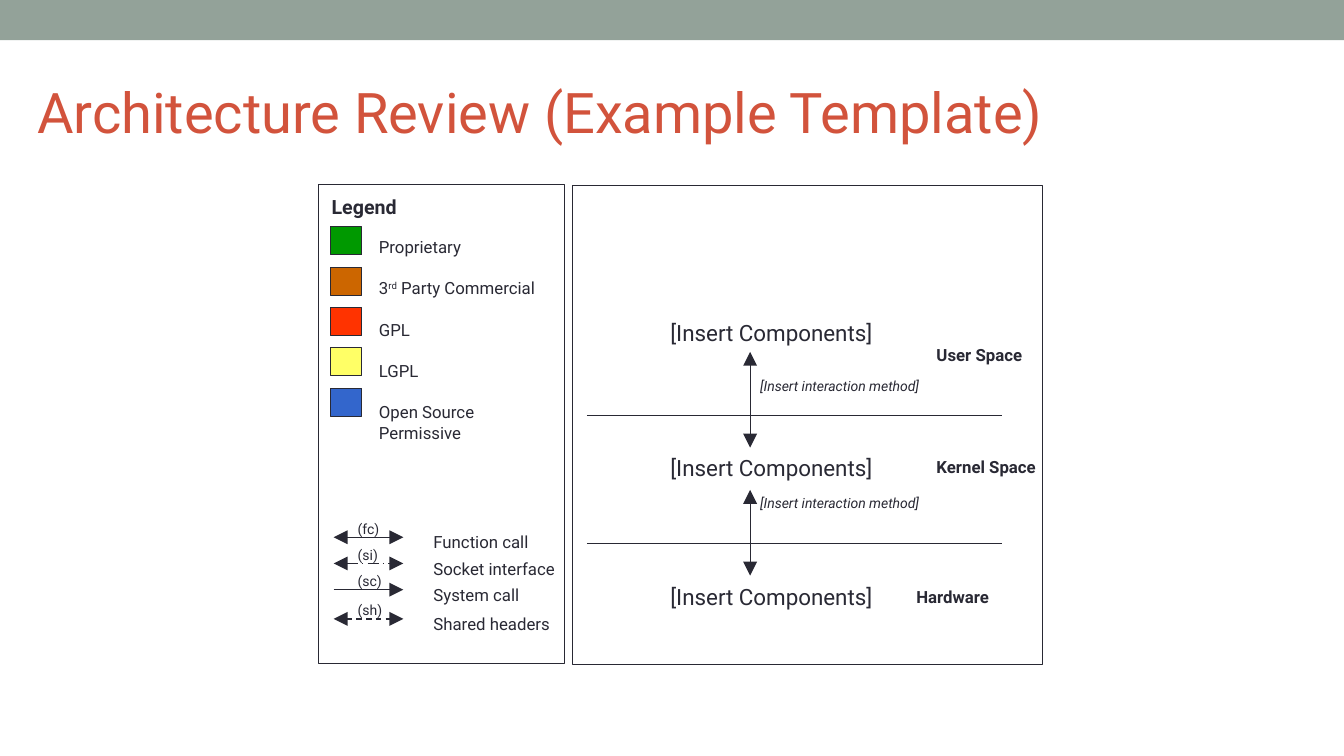
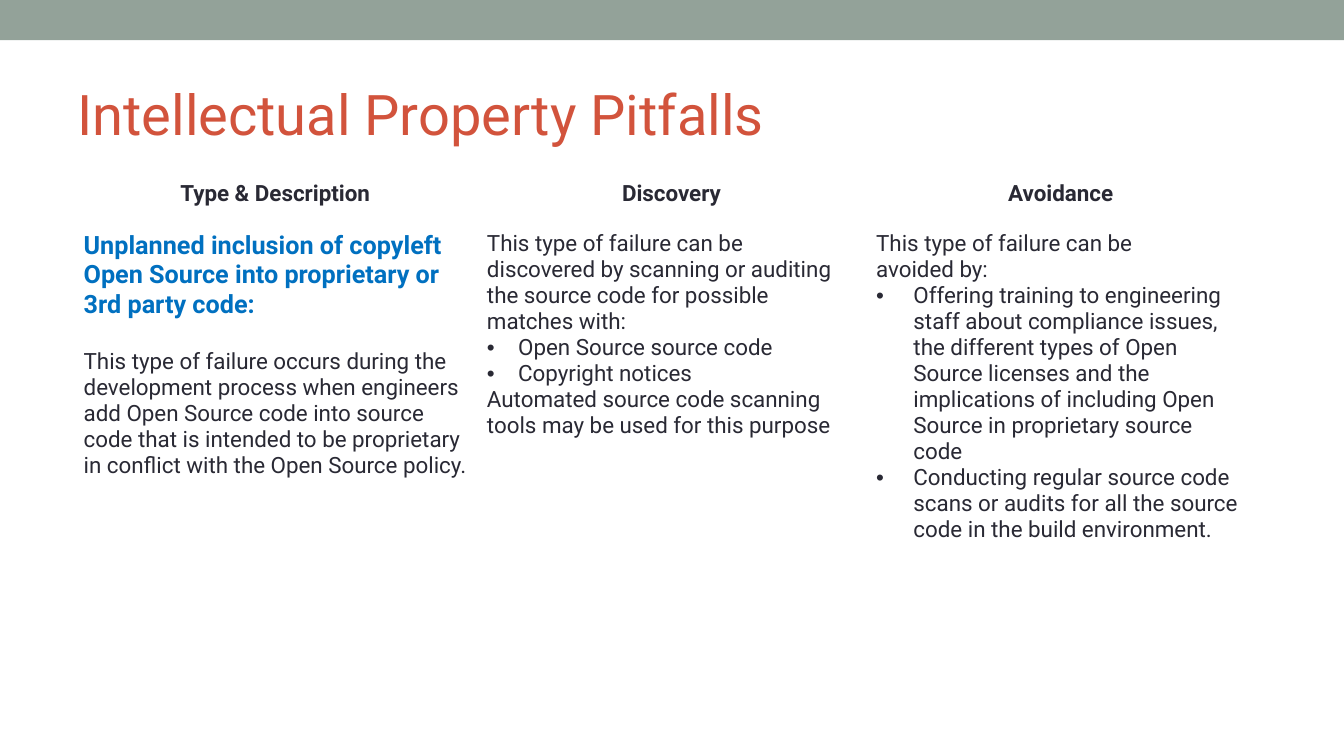
from lxml import etree
from pptx import Presentation
from pptx.dml.color import RGBColor
from pptx.enum.dml import MSO_LINE
from pptx.enum.shapes import MSO_CONNECTOR, MSO_SHAPE
from pptx.enum.text import MSO_ANCHOR, PP_ALIGN
from pptx.oxml.ns import qn
from pptx.util import Inches, Pt

FONT = "Roboto"
INK = RGBColor(0x29, 0x29, 0x34)
RED = RGBColor(0xD2, 0x53, 0x3C)
SAGE = RGBColor(0x93, 0xA2, 0x99)
BLUE = RGBColor(0x00, 0x70, 0xC0)
WHITE = RGBColor(0xFF, 0xFF, 0xFF)

RECT = MSO_SHAPE.RECTANGLE
STRAIGHT = MSO_CONNECTOR.STRAIGHT
MIDDLE = MSO_ANCHOR.MIDDLE
CENTER = PP_ALIGN.CENTER
DASH = MSO_LINE.DASH
LONG_DOT = MSO_LINE.LONG_DASH_DOT

BOTH = ("headEnd", "tailEnd")
END = ("tailEnd",)

LEGEND = [
    (RGBColor(0x00, 0x99, 0x00), ["Proprietary"]),
    (RGBColor(0xCC, 0x66, 0x00), ["3", "rd", " Party Commercial"]),
    (RGBColor(0xFF, 0x33, 0x00), ["GPL"]),
    (RGBColor(0xFF, 0xFF, 0x66), ["LGPL"]),
    (RGBColor(0x33, 0x66, 0xCC), ["Open Source Permissive"]),
]
CALLS = [
    (5.33, "(fc)", "Function call", BOTH, None),
    (5.59, "(si)", "Socket interface", BOTH, LONG_DOT),
    (5.85, "(sc)", "System call", END, None),
    (6.14, "(sh)", "Shared headers", BOTH, DASH),
]
SPACES = [
    (9.19, 3.37, "User Space"),
    (9.19, 4.48, "Kernel Space"),
    (8.99, 5.77, "Hardware"),
]

HEADS = ["Type & Description", "Discovery", "Avoidance"]
WIDTHS = [4, 3.86, 3.86]
CAUSE = ("Unplanned inclusion of copyleft Open Source into proprietary "
         "or 3rd party code:")
DETAIL = ("This type of failure occurs during the development process when "
          "engineers add Open Source code into source code that is intended "
          "to be proprietary in conflict with the Open Source policy.")
# Each entry is (text, bullet indent); an indent of 0 means no bullet.
FIND = [
    ("This type of failure can be", 0),
    ("discovered by scanning or auditing the source code for possible", 0),
    ("matches with:", 0),
    ("Open Source source code", 0.31),
    ("Copyright notices", 0.31),
    ("Automated source code scanning tools may be used for this purpose", 0),
]
AVOID = [
    ("This type of failure can be", 0),
    ("avoided by:", 0),
    ("Offering training to engineering staff about compliance issues, the "
     "different types of Open Source licenses and the implications of "
     "including Open Source in proprietary source code", 0.37),
    ("Conducting regular source code scans or audits for all the source "
     "code in the build environment.", 0.37),
]


def add_run(para, text, size, color=INK, bold=False, italic=False):
    """Append one styled run and return it."""
    run = para.add_run()
    run.text = text
    font = run.font
    font.name, font.size = FONT, Pt(size)
    font.bold, font.italic = bold, italic
    font.color.rgb = color
    return run


def add_box(slide, left, top, width, height):
    """Add an empty wrapping text box and return its frame."""
    box = slide.shapes.add_textbox(
        Inches(left), Inches(top), Inches(width), Inches(height))
    box.text_frame.word_wrap = True
    return box.text_frame


def add_label(slide, left, top, width, text, size=12, **style):
    """Add a label of one run."""
    frame = add_box(slide, left, top, width, 0.3)
    add_run(frame.paragraphs[0], text, size, **style)


def add_rect(slide, left, top, width, height, fill=None, line=None):
    """Add a rectangle; fill is a colour, line a width in points."""
    rect = slide.shapes.add_shape(
        RECT, Inches(left), Inches(top), Inches(width), Inches(height))
    rect.shadow.inherit = False
    if fill is None:
        rect.fill.background()
    else:
        rect.fill.solid()
        rect.fill.fore_color.rgb = fill
    if line is None:
        rect.line.fill.background()
    else:
        rect.line.color.rgb = INK
        rect.line.width = Pt(line)


def add_line(slide, start, end, width=1, heads=(), dash=None):
    """Add a straight line with arrowheads at the named ends."""
    link = slide.shapes.add_connector(
        STRAIGHT, *(Inches(value) for value in (*start, *end)))
    link.line.color.rgb = INK
    link.line.width = Pt(width)
    if dash is not None:
        link.line.dash_style = dash
    stroke = link.line._get_or_add_ln()
    for head in heads:
        etree.SubElement(stroke, qn("a:" + head),
                         type="triangle", w="lg", len="lg")
    etree.SubElement(link._element.spPr, qn("a:effectLst"))


def add_slide(deck, title, left, top):
    """Add a blank slide with the shared band and title."""
    slide = deck.slides.add_slide(deck.slide_layouts[6])
    add_rect(slide, 0, 0, 13.33, 0.4, fill=SAGE)
    frame = add_box(slide, left, top, 12, 1.08)
    frame.vertical_anchor = MIDDLE
    add_run(frame.paragraphs[0], title, 40, RED)
    return slide


def add_legend(slide):
    """Draw the legend of licences and call types."""
    add_rect(slide, 3.16, 1.83, 2.44, 4.75, line=1)
    add_label(slide, 3.19, 1.88, 1.05, "Legend", 14, bold=True)
    for row, (color, parts) in enumerate(LEGEND):
        add_rect(slide, 3.28, 2.25 + 0.4 * row, 0.31, 0.28, color, 0.75)
        width = 1.48 if row == len(LEGEND) - 1 else 1.8
        frame = add_box(slide, 3.66, 2.3 + 0.41 * row, width, 0.3)
        for part in parts:
            run = add_run(frame.paragraphs[0], part, 12)
            if part == "rd":
                run.font._element.set("baseline", "30000")
    for top, code, name, heads, dash in CALLS:
        add_line(slide, (3.31, top), (4, top), heads=heads, dash=dash)
        add_label(slide, 3.45, top - 0.22, 0.47, code, 10)
        add_label(slide, 4.2, top - 0.1, 1.45, name)


def add_stack(slide):
    """Draw the three layers and the links between them."""
    add_rect(slide, 5.68, 1.84, 4.66, 4.75, line=1)
    for top in (4.12, 5.39):
        add_line(slide, (5.82, top), (9.94, top))
    for left, top, name in SPACES:
        add_label(slide, left, top, 1.23, name, bold=True)
    for top in (3.12, 4.46, 5.74):
        add_label(slide, 6.55, top, 2.25, "[Insert Components]", 16)
    for top, base, note in ((3.49, 4.44, 3.7), (4.86, 5.71, 4.86)):
        add_line(slide, (7.44, top), (7.44, base), 0.75, BOTH)
        add_label(slide, 7.44, note, 1.85, "[Insert interaction method]",
                  10, italic=True)


def add_bullet(para, indent):
    """Give a paragraph a round bullet and a hanging indent."""
    props = para._p.get_or_add_pPr()
    props.set("marL", str(Inches(indent)))
    props.set("indent", str(-Inches(indent)))
    etree.SubElement(props, qn("a:buFont"), typeface="Arial")
    etree.SubElement(props, qn("a:buChar"), char="•")


def fill_list(cell, items):
    """Write plain and bulleted paragraphs into a cell."""
    frame = cell.text_frame
    for row, (text, indent) in enumerate(items):
        para = frame.add_paragraph() if row else frame.paragraphs[0]
        if indent:
            add_bullet(para, indent)
        add_run(para, text, 16)


def add_grid(slide):
    """Add the table of pitfalls."""
    grid = slide.shapes.add_table(
        2, 3, Inches(0.73), Inches(1.74), Inches(sum(WIDTHS)),
        Inches(5.09)).table
    grid.first_row = grid.horz_banding = False
    for row, height in zip(grid.rows, (0.5, 4.59)):
        row.height = Inches(height)
    for col, width in zip(grid.columns, WIDTHS):
        col.width = Inches(width)
    for cell in grid.iter_cells():
        cell.fill.solid()
        cell.fill.fore_color.rgb = WHITE
    for col, head in enumerate(HEADS):
        para = grid.cell(0, col).text_frame.paragraphs[0]
        para.alignment = CENTER
        add_run(para, head, 16, bold=True)
    frame = grid.cell(1, 0).text_frame
    add_run(frame.paragraphs[0], CAUSE, 18, BLUE, bold=True)
    para = frame.add_paragraph()
    para.space_before = Pt(21)
    add_run(para, DETAIL, 16)
    fill_list(grid.cell(1, 1), FIND)
    fill_list(grid.cell(1, 2), AVOID)


def main():
    """Build and save both slides."""
    deck = Presentation()
    deck.slide_width, deck.slide_height = Inches(13.33), Inches(7.5)
    review = add_slide(
        deck, "Architecture Review (Example Template)", 0.27, 0.56)
    add_legend(review)
    add_stack(review)
    add_grid(add_slide(deck, "Intellectual Property Pitfalls", 0.67, 0.58))
    deck.save("out.pptx")


main()
